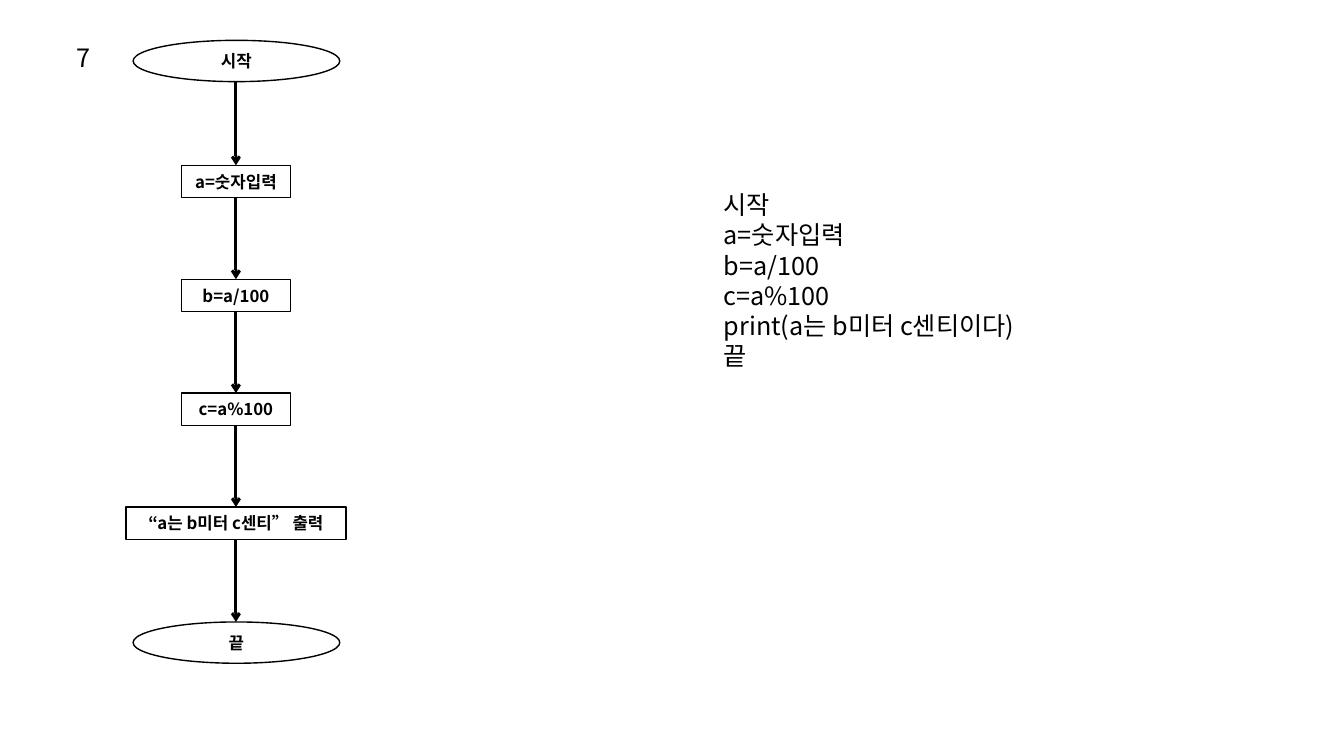
import itertools

import pptx
import pptx.dml.color
import pptx.enum.shapes
import pptx.enum.text
import pptx.oxml
import pptx.oxml.ns
import pptx.util

BLACK = pptx.dml.color.RGBColor(0x00, 0x00, 0x00)
FONT = "Noto Sans CJK KR"
PX = 9144
BLANK_LAYOUT = 6
CENTER_X = 234
OVAL = pptx.enum.shapes.MSO_SHAPE.OVAL
PROCESS = pptx.enum.shapes.MSO_SHAPE.FLOWCHART_PROCESS

STEPS = [
    (OVAL, 40, 205, 41, "시작"),
    (PROCESS, 164, 108, 32, "a=숫자입력"),
    (PROCESS, 277, 108, 32, "b=a/100"),
    (PROCESS, 390, 108, 32, "c=a%100"),
    (PROCESS, 503, 218, 32, "“a는 b미터 c센티” 출력"),
    (OVAL, 617, 205, 41, "끝"),
]
PSEUDOCODE = [
    "시작",
    "a=숫자입력",
    "b=a/100",
    "c=a%100",
    "print(a는 b미터 c센티이다)",
    "끝",
]


def px(*lengths):
    return [pptx.util.Emu(n * PX) for n in lengths]


class FlowSlide:
    body = {"size": pptx.util.Pt(18), "name": FONT}
    label = {"size": pptx.util.Pt(12), "name": FONT, "bold": True}

    def __init__(self, prs):
        self.s = prs.slides.add_slide(prs.slide_layouts[BLANK_LAYOUT])

    def fill_text(self, tf, lines, fmt, align):
        tf.word_wrap = True
        for i, line in enumerate(lines):
            p = tf.add_paragraph() if i else tf.paragraphs[0]
            p.alignment = align
            r = p.add_run()
            r.text = line
            r.font.color.rgb = BLACK
            for key, value in fmt.items():
                setattr(r.font, key, value)
            ea = pptx.oxml.parse_xml(
                f'<a:ea {pptx.oxml.ns.nsdecls("a")} typeface="{FONT}"/>')
            r.font._element.find(pptx.oxml.ns.qn("a:latin")).addnext(ea)

    def text(self, x, y, w, h, lines):
        sp = self.s.shapes.add_textbox(*px(x, y, w, h))
        sp.text_frame.auto_size = pptx.enum.text.MSO_AUTO_SIZE.SHAPE_TO_FIT_TEXT
        self.fill_text(sp.text_frame, lines, self.body, pptx.enum.text.PP_ALIGN.LEFT)

    def step(self, kind, y, w, h, label):
        sp = self.s.shapes.add_shape(kind, *px(CENTER_X - w // 2, y, w, h))
        sp.shadow.inherit = False
        sp.fill.background()
        sp.line.color.rgb = BLACK
        sp.line.width = pptx.util.Pt(1)
        sp.text_frame.vertical_anchor = pptx.enum.text.MSO_ANCHOR.MIDDLE
        self.fill_text(sp.text_frame, [label], self.label, pptx.enum.text.PP_ALIGN.CENTER)
        return sp

    def arrow(self, start, end):
        bottom, top = start.top + start.height, end.top
        x, = px(CENTER_X)
        cxn = self.s.shapes.add_connector(
            pptx.enum.shapes.MSO_CONNECTOR.STRAIGHT, x, bottom, x, top)
        cxn.line.color.rgb = BLACK
        cxn.line.width = pptx.util.Pt(2)
        ns = pptx.oxml.ns.nsdecls("a")
        cxn.line._get_or_add_ln().append(
            pptx.oxml.parse_xml(f'<a:tailEnd {ns} type="arrow"/>'))
        cxn._element.spPr.append(pptx.oxml.parse_xml(f"<a:effectLst {ns}/>"))


def main():
    prs = pptx.Presentation()
    prs.slide_width, prs.slide_height = px(1333, 750)
    slide = FlowSlide(prs)
    slide.text(66, 37, 43, 40, ["7"])
    steps = [slide.step(*step) for step in STEPS]
    for start, end in itertools.pairwise(steps):
        slide.arrow(start, end)
    slide.text(708, 183, 391, 192, PSEUDOCODE)
    prs.save("out.pptx")


if __name__ == "__main__":
    main()
